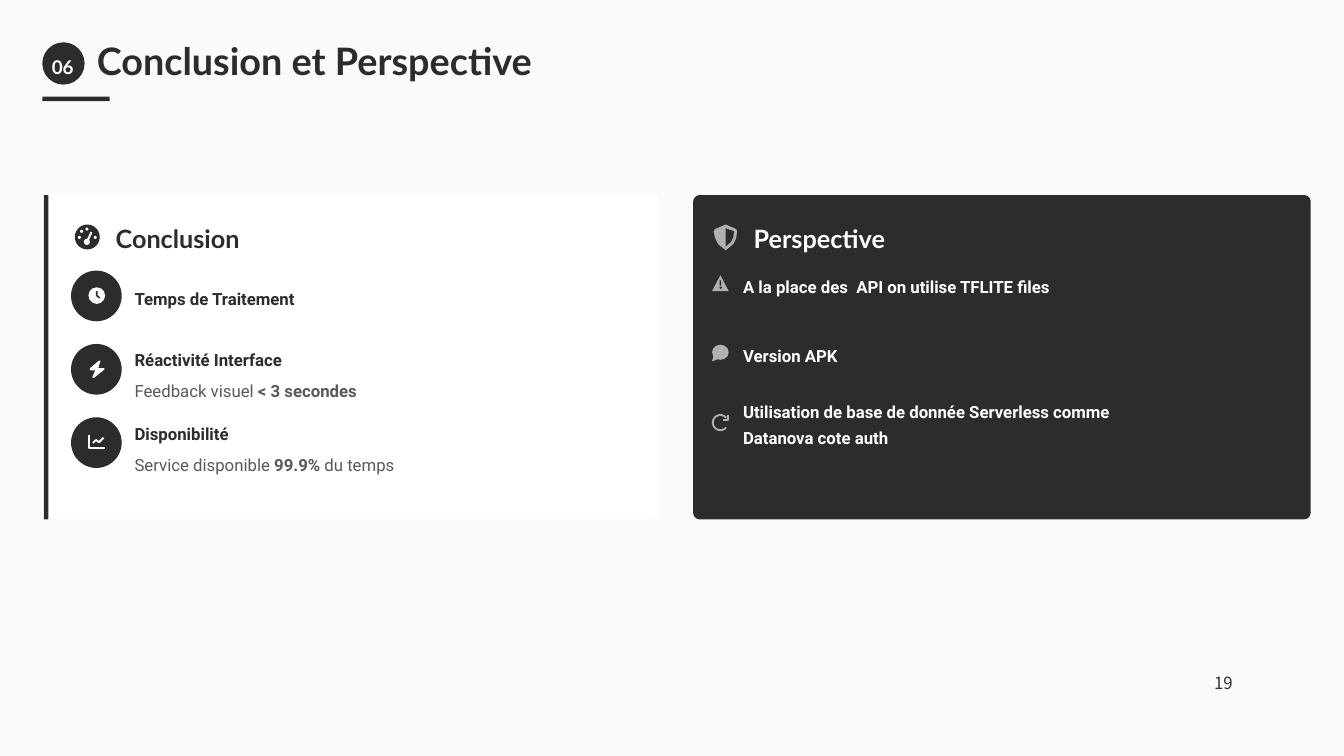
from dataclasses import dataclass
from math import cos, radians, sin

from pptx import Presentation
from pptx.dml.color import RGBColor
from pptx.enum.shapes import MSO_SHAPE
from pptx.enum.text import MSO_ANCHOR, MSO_AUTO_SIZE, PP_ALIGN
from pptx.oxml.ns import qn
from pptx.shapes.autoshape import Shape
from pptx.slide import Slide
from pptx.util import Inches, Pt

OVAL, RECT = MSO_SHAPE.OVAL, MSO_SHAPE.RECTANGLE
ROUND, WEDGE = MSO_SHAPE.ROUNDED_RECTANGLE, MSO_SHAPE.ISOSCELES_TRIANGLE
TOP, MID = MSO_ANCHOR.TOP, MSO_ANCHOR.MIDDLE
LEFT, MIDDLE = PP_ALIGN.LEFT, PP_ALIGN.CENTER
FIXED = MSO_AUTO_SIZE.NONE

Box = tuple[float, float, float, float]
Points = list[tuple[float, float]]


@dataclass(frozen=True)
class Theme:
    page: str = "FAFAFA"
    dark: str = "2C2C2C"
    white: str = "FFFFFF"
    soft: str = "5A5A5A"
    pale: str = "B0B0B0"
    number: str = "333333"
    head: str = "Lato"
    body: str = "Roboto"
    plain: str = "Noto Sans CJK SC"
    title: int = 36
    section: int = 24
    badge: int = 18
    text: int = 16


@dataclass(frozen=True)
class Para:
    runs: list[tuple[str, bool]]
    color: str
    size: int
    font: str
    lines: float = 1.3
    before: float = 0
    align: PP_ALIGN = LEFT


@dataclass(frozen=True)
class Part:
    kind: MSO_SHAPE
    box: Box
    color: str


@dataclass(frozen=True)
class Path:
    points: Points
    color: str
    width: float = 0


Icon = list[Part | Path]
THEME = Theme()


def tint(color: str) -> RGBColor:
    return RGBColor.from_string(color)


def block(slide: Slide, kind: MSO_SHAPE, box: Box, color: str) -> Shape:
    shape = slide.shapes.add_shape(kind, *map(Inches, box))
    shape.shadow.inherit = False
    shape.fill.solid()
    shape.fill.fore_color.rgb = tint(color)
    shape.line.fill.background()
    return shape


def trace(slide: Slide, points: Points, color: str, width: float) -> None:
    spots = [(Inches(x), Inches(y)) for x, y in points]
    pen = slide.shapes.build_freeform(*spots[0], scale=1.0)
    pen.add_line_segments(spots[1:], close=not width)
    shape = pen.convert_to_shape()
    shape.shadow.inherit = False
    if width:
        shape.fill.background()
        shape.line.color.rgb = tint(color)
        shape.line.width = Pt(width)
    else:
        shape.fill.solid()
        shape.fill.fore_color.rgb = tint(color)
        shape.line.fill.background()


def symbol(slide: Slide, icon: Icon, left: float, top: float) -> None:
    for part in icon:
        if isinstance(part, Part):
            x, y, w, h = part.box
            block(slide, part.kind, (left + x, top + y, w, h), part.color)
        else:
            spots = [(left + x, top + y) for x, y in part.points]
            trace(slide, spots, part.color, part.width)


def write(shape: Shape, paras: list[Para], anchor: MSO_ANCHOR = MID, inset: float = 0) -> None:
    frame = shape.text_frame
    frame.auto_size = FIXED
    frame.word_wrap = True
    frame.vertical_anchor = anchor
    frame.margin_left = frame.margin_right = Inches(inset)
    frame.margin_top = frame.margin_bottom = Inches(inset)
    for index, para in enumerate(paras):
        line = frame.add_paragraph() if index else frame.paragraphs[0]
        props = line._p.get_or_add_pPr()
        props.set("marL", "0")
        props.set("indent", "0")
        props.append(props.makeelement(qn("a:buNone"), {}))
        line.alignment = para.align
        line.line_spacing = para.lines
        line.space_before = Pt(para.before)
        line.space_after = Pt(0)
        line.font.name = para.font
        line.font.size = Pt(para.size)
        line.font.color.rgb = tint(para.color)
        for words, bold in para.runs:
            run = line.add_run()
            run.text = words
            if len(para.runs) > 1:
                run.font.bold = bold
            else:
                line.font.bold = bold


def holder(slide: Slide, index: int, box: Box, paras: list[Para], anchor: MSO_ANCHOR = MID) -> None:
    shape = slide.placeholders[index]
    slide.shapes._spTree.append(shape._element)
    shape.left, shape.top, shape.width, shape.height = map(Inches, box)
    write(shape, paras, anchor)


def label(slide: Slide, box: Box, para: Para, anchor: MSO_ANCHOR = MID, inset: float = 0) -> None:
    write(slide.shapes.add_textbox(*map(Inches, box)), [para], anchor, inset)


def item(words: str, color: str, before: float = 0) -> Para:
    return Para([(words, True)], color, THEME.text, THEME.body, before=before)


def detail(*runs: tuple[str, bool]) -> Para:
    return Para(list(runs), THEME.soft, THEME.text, THEME.body, 1.4, 3)


def arc(x: float, y: float, size: float, start: int, stop: int) -> Points:
    turns = [radians(a) for a in range(start, stop + 1, 10)]
    return [(x + size * cos(a), y + size * sin(a)) for a in turns]


def main() -> None:
    dark, white, pale = THEME.dark, THEME.white, THEME.pale
    dots = [(0.14, 0.04), (0.07, 0.07), (0.04, 0.15), (0.25, 0.15)]
    gauge = [Part(OVAL, (0, 0, 0.33, 0.33), dark)]
    gauge += [Part(OVAL, (x, y, 0.04, 0.04), white) for x, y in dots]
    gauge += [Part(OVAL, (0.12, 0.19, 0.08, 0.08), white), Path([(0.17, 0.21), (0.22, 0.1)], white, 2)]
    clock = [Part(OVAL, (0, 0, 0.22, 0.22), white),
             Path([(0.11, 0.05), (0.11, 0.11), (0.15, 0.14)], dark, 1.5)]
    bolt = [Path([(0.16, 0), (0.13, 0.1), (0.21, 0.1), (0.21, 0.12), (0.07, 0.23),
                  (0.05, 0.22), (0.09, 0.13), (0.02, 0.13), (0.02, 0.1), (0.14, 0)], white)]
    chart = [Path([(0.01, 0.01), (0.01, 0.19), (0.22, 0.19)], white, 1.75),
             Path([(0.06, 0.12), (0.1, 0.08), (0.14, 0.11), (0.2, 0.05)], white, 1.75)]
    shield = [Path([(0.17, 0), (0.31, 0.06), (0.32, 0.09), (0.31, 0.18), (0.27, 0.26), (0.17, 0.34),
                    (0.07, 0.26), (0.03, 0.18), (0.01, 0.09), (0.03, 0.06)], pale),
              Path([(0.17, 0.05), (0.28, 0.09), (0.27, 0.17), (0.24, 0.23), (0.17, 0.29)], dark)]
    alert = [Part(WEDGE, (0, 0, 0.22, 0.21), pale), Part(RECT, (0.1, 0.07, 0.02, 0.07), dark),
             Part(OVAL, (0.1, 0.15, 0.03, 0.03), dark)]
    chat = [Part(OVAL, (0, 0, 0.22, 0.2), pale), Path([(0.02, 0.14), (0, 0.22), (0.08, 0.19)], pale)]
    again = [Path(arc(0.11, 0.11, 0.1, 40, 320), pale, 1.75),
             Path([(0.21, 0.01), (0.21, 0.08), (0.14, 0.08)], pale, 1.75)]

    deck = Presentation()
    deck.slide_width, deck.slide_height = Inches(17.78), Inches(10)
    slide = deck.slides.add_slide(deck.slide_layouts[4])
    slide.background.fill.solid()
    slide.background.fill.fore_color.rgb = tint(THEME.page)

    block(slide, OVAL, (0.56, 0.56, 0.56, 0.56), dark)
    label(slide, (0.49, 0.56, 0.68, 0.56),
          Para([("06", True)], white, THEME.badge, THEME.head, align=MIDDLE))
    holder(slide, 0, (1.28, 0.56, 6.21, 0.56),
           [Para([("Conclusion et Perspective", True)], dark, THEME.title, THEME.head, 0.9)])
    block(slide, RECT, (0.56, 1.28, 0.89, 0.06), dark)

    for left, width, color in ((0.58, 8.14, white), (9.17, 8.17, dark)):
        block(slide, ROUND, (left, 2.58, width, 4.29), color).adjustments[0] = 0.02
    block(slide, ROUND, (0.58, 2.58, 0.06, 4.29), dark)

    symbol(slide, gauge, 0.99, 2.97)
    symbol(slide, shield, 9.43, 2.97)
    for index, left, words, color in ((1, 1.53, "Conclusion", dark), (3, 9.97, "Perspective", white)):
        holder(slide, index, (left, 2.92, 4.08, 0.44),
               [Para([(words, True)], color, THEME.section, THEME.head, 1.1)])

    for row, icon in enumerate((clock, bolt, chart)):
        top = 3.58 + 0.97 * row
        block(slide, OVAL, (0.94, top, 0.67, 0.67), dark)
        symbol(slide, icon, 1.17, top + 0.22)
    for row, icon in enumerate((alert, chat, again)):
        symbol(slide, icon, 9.42, 3.64 + 0.92 * row)

    holder(slide, 2, (1.78, 3.74, 4, 2.55), [
        item("Temps de Traitement", dark),
        item("Réactivité Interface", dark, 33),
        detail(("Feedback visuel ", False), ("< 3 secondes", True)),
        item("Disponibilité", dark, 15.5),
        detail(("Service disponible ", False), ("99.9%", True), (" du temps", False)),
    ], TOP)
    holder(slide, 4, (9.83, 3.58, 5.25, 2.4), [
        item("A la place des  API on utilise TFLITE files", white),
        item("Version APK", white, 40.5),
        item("Utilisation de base de donnée Serverless comme Datanova cote auth", white, 28.5),
    ], TOP)
    label(slide, (15.24, 8.85, 1.89, 0.36),
          Para([("19", False)], THEME.number, THEME.text, THEME.plain, 1, align=MIDDLE), TOP, 0.05)
    deck.save("out.pptx")


if __name__ == "__main__":
    main()
